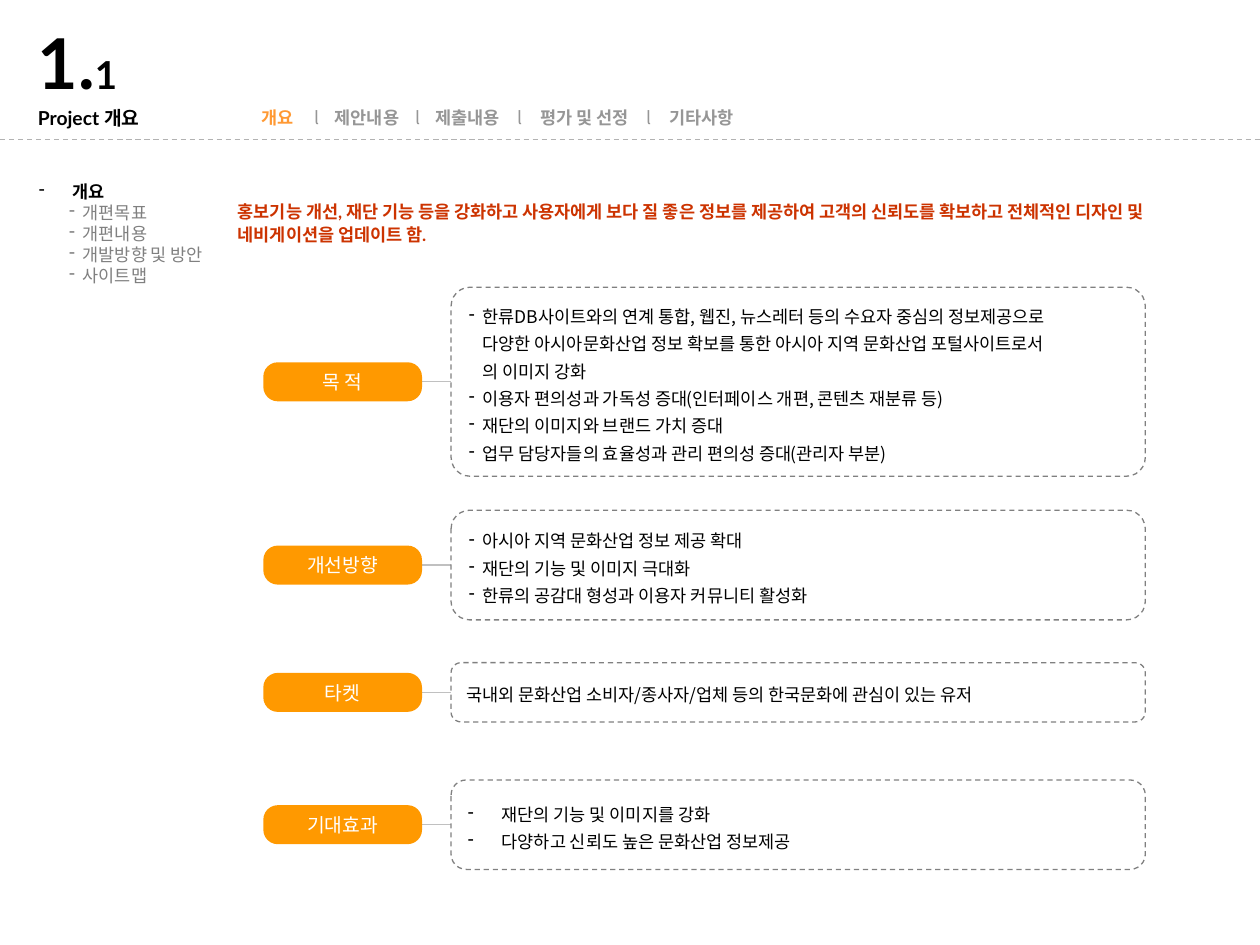
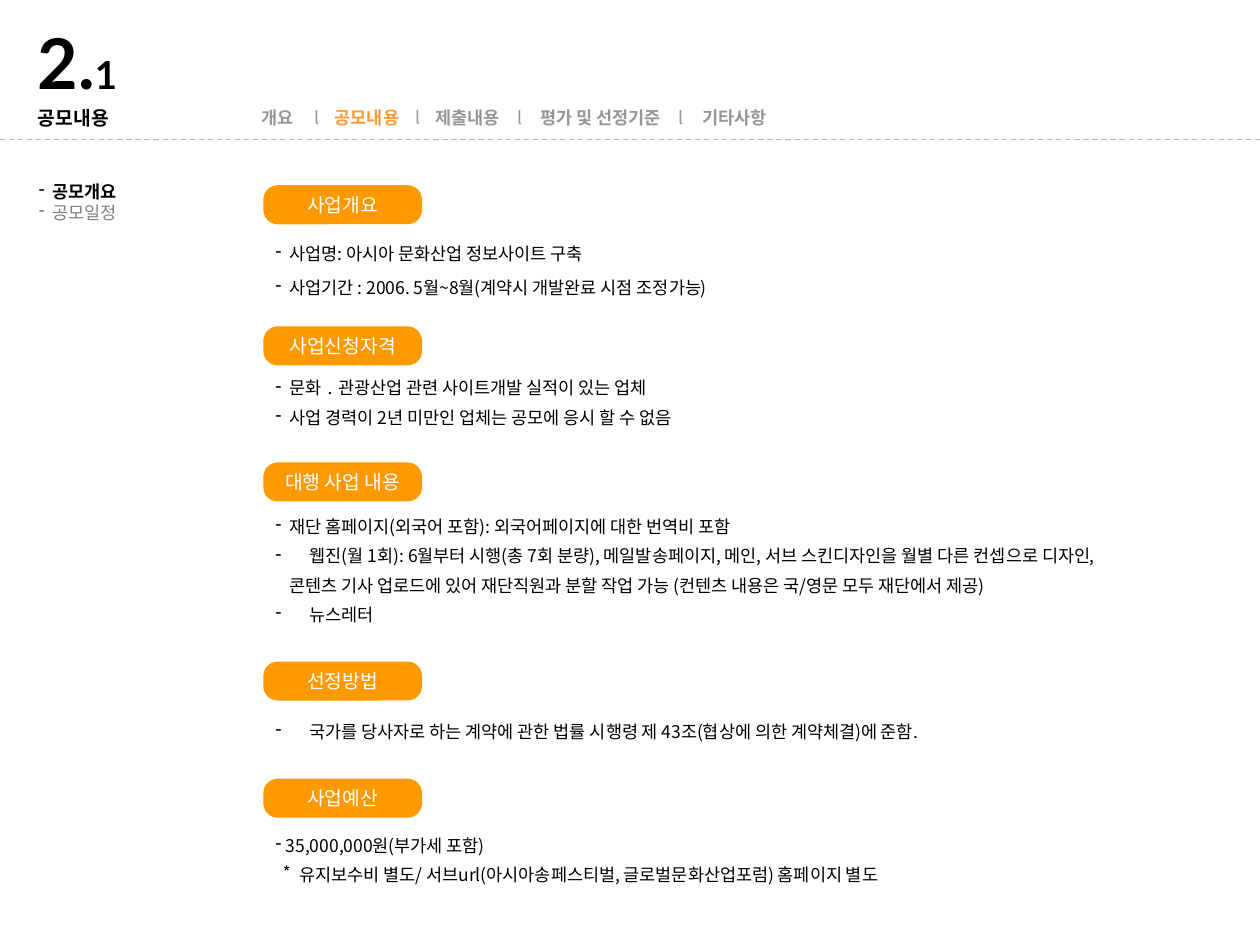
from lxml import etree
from pptx import Presentation
from pptx import util as u
from pptx.dml.color import RGBColor
from pptx.enum import dml, shapes, text
from pptx.oxml import ns

CELL = u.Inches(0.1)
COLUMNS, ROWS = 100, 75
COLORS = {"ink": "000000", "accent": "FF9900", "current": "FF9933", "nav": "969696",
          "muted": "808080", "summary": "CC3300", "rule": "B2B2B2", "link": "C0C0C0",
          "paper": "FFFFFF"}
LATIN, KOREAN = "Lato", "Noto Sans CJK KR"
BODY = {"size": 10, "color": "ink", "name": KOREAN, "bold": False}
TITLE = {"size": 11, "color": "ink", "name": LATIN, "bold": True}
LINE_HEIGHT = 1.2
LABEL_LEFT, LABEL_WIDTH, LABEL_HEIGHT = 20.9, 12.6, 3.1
PANEL_LEFT, PANEL_WIDTH = 35.8, 55.1
NAV_STOPS = [4.2, 5.8, 12.2, 13.8, 20.3, 22.1]
MARKS = {"flat": (0, 0, None), "dash": (0, 1.1, "-"), "tight": (0, 0.8, "-"),
         "wide": (0, 2.7, "-"), "sub": (2.4, 1.1, "-"), "star": (0.6, 1.3, "*"),
         "continued": (1.1, 0, None)}

PANELS = [
    ("목 적", 22.8, 15, 0.1, 1.3, [
        ("dash", "한류DB사이트와의 연계 통합, 웹진, 뉴스레터 등의 수요자 중심의 정보제공으로\v"
                 "다양한 아시아문화산업 정보 확보를 통한 아시아 지역 문화산업 포털사이트로서\v"
                 "의 이미지 강화"),
        ("dash", "이용자 편의성과 가독성 증대(인터페이스 개편, 콘텐츠 재분류 등)"),
        ("dash", "재단의 이미지와 브랜드 가치 증대"),
        ("dash", "업무 담당자들의 효율성과 관리 편의성 증대(관리자 부분)")]),
    ("개선방향", 40.5, 8.7, 0.17, 1.3, [
        ("dash", "아시아 지역 문화산업 정보 제공 확대"),
        ("dash", "재단의 기능 및 이미지 극대화"),
        ("dash", "한류의 공감대 형성과 이용자 커뮤니티 활성화")]),
    ("타켓", 52.6, 4.7, 0.17, 1.2, [
        ("flat", "국내외 문화산업 소비자/종사자/업체 등의 한국문화에 관심이 있는 유저")]),
    ("기대효과", 61.9, 7.1, 0.17, 1.3, [
        ("wide", "재단의 기능 및 이미지를 강화"),
        ("wide", "다양하고 신뢰도 높은 문화산업 정보제공")]),
]
SECTIONS = [
    ("사업개요", 14.7, 17.8, 7.1, 1.6, [
        ("dash", "사업명: 아시아 문화산업 정보사이트 구축"),
        ("dash", "사업기간 : 2006. 5월~8월(계약시 개발완료 시점 조정가능)")]),
    ("사업신청자격", 25.9, 28.8, 4.7, 1.4, [
        ("dash", "문화 ․ 관광산업 관련 사이트개발 실적이 있는 업체"),
        ("dash", "사업 경력이 2년 미만인 업체는 공모에 응시 할 수 없음")]),
    ("대행 사업 내용", 36.7, 39.8, 11.8, 1.4, [
        ("dash", "재단 홈페이지(외국어 포함): 외국어페이지에 대한 번역비 포함"),
        ("wide", "웹진(월 1회): 6월부터 시행(총 7회 분량), 메일발송페이지, 메인, "
                 "서브 스킨디자인을 월별 다른 컨셉으로 디자인,"),
        ("continued", "콘텐츠 기사 업로드에 있어 재단직원과 분할 작업 가능 "
                      "(컨텐츠 내용은 국/영문 모두 재단에서 제공)"),
        ("wide", "뉴스레터")]),
    ("선정방법", 52.5, 56.4, 4.7, 1.2, [
        ("wide", "국가를 당사자로 하는 계약에 관한 법률 시행령 제 43조(협상에 의한 계약체결)에 준함.")]),
    ("사업예산", 61.8, 65.1, 6.5, 1.4, [
        ("tight", "35,000,000원(부가세 포함)"),
        ("star", "유지보수비 별도/ 서브url(아시아송페스티벌, 글로벌문화산업포럼) 홈페이지 별도")]),
]


def cells(*lengths):
    """Turn grid counts into lengths."""
    return [u.Emu(round(length * CELL)) for length in lengths]


def color(name):
    """Look up a palette colour."""
    return RGBColor.from_string(COLORS[name])


def add_run(paragraph, content, **changes):
    """Add a run in the body format with the given changes."""
    style = {**BODY, **changes}
    run = paragraph.add_run()
    run.text = content
    formats = {"size": u.Pt(style["size"]), "name": style["name"], "bold": style["bold"]}
    for attribute, value in formats.items():
        setattr(run.font, attribute, value)
    run.font.color.rgb = color(style["color"])
    etree.SubElement(run.font._element, ns.qn("a:ea"), typeface=KOREAN)


def set_spacing(paragraph, size, factor):
    """Fix the line pitch of a paragraph and clear the gaps around it."""
    formats = {"line_spacing": u.Pt(round(size * LINE_HEIGHT * factor, 1)),
               "space_before": u.Pt(0), "space_after": u.Pt(0)}
    for attribute, value in formats.items():
        setattr(paragraph, attribute, value)


def set_mark(paragraph, kind):
    """Indent a paragraph and give it its bullet."""
    left, hang, symbol = MARKS[kind]
    margin, indent = cells(left + hang, -hang)
    properties = paragraph._p.get_or_add_pPr()
    properties.set("marL", str(margin))
    properties.set("indent", str(indent))
    if symbol:
        etree.SubElement(properties, ns.qn("a:buChar"), char=symbol)


def set_tabs(paragraph, stops):
    """Give a paragraph left tab stops."""
    tabs = etree.SubElement(paragraph._p.get_or_add_pPr(), ns.qn("a:tabLst"))
    for stop in cells(*stops):
        etree.SubElement(tabs, ns.qn("a:tab"), pos=str(stop), algn="l")


def prepare_frame(shape, anchor=text.MSO_ANCHOR.TOP, wrap=True, inset=(1, 0.5)):
    """Set the frame format of a shape and return the frame."""
    side, edge = cells(*inset)
    formats = {"word_wrap": wrap, "auto_size": text.MSO_AUTO_SIZE.NONE,
               "vertical_anchor": anchor, "margin_left": side, "margin_right": side,
               "margin_top": edge, "margin_bottom": edge}
    for attribute, value in formats.items():
        setattr(shape.text_frame, attribute, value)
    return shape.text_frame


def next_paragraph(frame, index):
    """Return the first paragraph, or a new one after it."""
    return frame.add_paragraph() if index else frame.paragraphs[0]


def fill_list(frame, items, factor, styles=()):
    """Write marked items, each with its own style if given."""
    for index, (kind, content) in enumerate(items):
        paragraph = next_paragraph(frame, index)
        paragraph.alignment = text.PP_ALIGN.LEFT
        set_mark(paragraph, kind)
        set_spacing(paragraph, BODY["size"], factor)
        style = styles[index] if styles else {}
        for part, line in enumerate(content.split("\v")):
            if part:
                paragraph.add_line_break()
            add_run(paragraph, line, **style)


def add_text(slide, *box, **frame_format):
    """Add a text box on the grid and return its frame."""
    return prepare_frame(slide.shapes.add_textbox(*cells(*box)), **frame_format)


def add_line(slide, left, right, row, shade, dashed=False):
    """Add a thin horizontal line."""
    line = slide.shapes.add_connector(shapes.MSO_CONNECTOR.STRAIGHT,
                                      *cells(left, row, right, row))
    line.line.color.rgb = color(shade)
    line.line.width = u.Pt(0.75)
    if dashed:
        line.line.dash_style = dml.MSO_LINE.DASH
    etree.SubElement(line._element.spPr, ns.qn("a:effectLst"))


def add_rounded(slide, box, rounding, fill):
    """Add a flat rounded rectangle."""
    shape = slide.shapes.add_shape(shapes.MSO_SHAPE.ROUNDED_RECTANGLE, *cells(*box))
    shape.adjustments[0] = rounding
    shape.shadow.inherit = False
    shape.fill.solid()
    shape.fill.fore_color.rgb = color(fill)
    return shape


def add_label(slide, caption, top):
    """Add an orange section label."""
    shape = add_rounded(slide, (LABEL_LEFT, top, LABEL_WIDTH, LABEL_HEIGHT), 0.37, "accent")
    shape.line.fill.background()
    paragraph = prepare_frame(shape, text.MSO_ANCHOR.MIDDLE, wrap=False).paragraphs[0]
    paragraph.alignment = text.PP_ALIGN.CENTER
    set_spacing(paragraph, 11, 1)
    add_run(paragraph, caption, size=11, color="paper")


def add_panel(slide, caption, top, height, rounding, factor, items):
    """Add a dashed panel joined to a label at its middle."""
    middle = top + height / 2
    add_line(slide, LABEL_LEFT + LABEL_WIDTH, PANEL_LEFT, middle, "link")
    add_label(slide, caption, middle - LABEL_HEIGHT / 2)
    shape = add_rounded(slide, (PANEL_LEFT, top, PANEL_WIDTH, height), rounding, "paper")
    shape.line.color.rgb = color("muted")
    shape.line.width = u.Pt(0.75)
    shape.line.dash_style = dml.MSO_LINE.DASH
    fill_list(prepare_frame(shape, text.MSO_ANCHOR.MIDDLE), items, factor)


def add_section(slide, caption, label_top, top, height, factor, items):
    """Add a label with a list below it."""
    add_label(slide, caption, label_top)
    fill_list(add_text(slide, LABEL_LEFT, top, 74, height), items, factor)


def set_title(slide, chapter, part, name):
    """Write the chapter number and name in the title placeholder."""
    title = slide.shapes.title
    title.left, title.top, title.width, title.height = cells(2.1, 2.5, 23.5, 8.2)
    frame = prepare_frame(title, inset=(0.9, 0.4))
    lines = [(40, 0.8, [(chapter, 40), (part, 22)]), (11, 1.1, [(name, 11)])]
    for index, (size, factor, runs) in enumerate(lines):
        paragraph = next_paragraph(frame, index)
        paragraph.alignment = text.PP_ALIGN.LEFT
        set_spacing(paragraph, size, factor)
        for content, run_size in runs:
            add_run(paragraph, content, **{**TITLE, "size": run_size})


def add_navigation(slide, names, current, last_divider):
    """Add the chapter row, with the current chapter in orange."""
    paragraph = add_text(slide, 19.8, 8, 45, 2.7).paragraphs[0]
    set_tabs(paragraph, NAV_STOPS + [last_divider, last_divider + 1.85])
    set_spacing(paragraph, BODY["size"], 1)
    for index, name in enumerate(names):
        if index:
            add_run(paragraph, "\tl\t", color="nav")
        add_run(paragraph, name, color="current" if index == current else "nav", bold=True)


def add_slide(presentation, title, names, current, last_divider, sidebar):
    """Add a slide with its title, rule, chapter row and sidebar."""
    slide = presentation.slides.add_slide(presentation.slide_layouts[5])
    add_line(slide, 0, COLUMNS, 11.1, "rule", dashed=True)
    set_title(slide, *title)
    add_navigation(slide, names, current, last_divider)
    styles = [{"bold": True}] + [{"color": "muted"}] * (len(sidebar) - 1)
    fill_list(add_text(slide, 2.1, 13.9, 16.4, 11), sidebar, 1, styles)
    return slide


def add_summary(slide, content):
    """Add the red summary sentence."""
    frame = add_text(slide, 17.9, 15.3, 75, 4.7, anchor=text.MSO_ANCHOR.MIDDLE)
    style = {"name": LATIN, "color": "summary", "bold": True}
    fill_list(frame, [("flat", content)], 1.1, [style])


def main():
    """Build both slides and save them."""
    presentation = Presentation()
    presentation.slide_width, presentation.slide_height = cells(COLUMNS, ROWS)

    overview = add_slide(
        presentation, ("1.", "1", "Project 개요"),
        ["개요", "제안내용", "제출내용", "평가 및 선정", "기타사항"], 0, 30.5,
        [("wide", "개요"), ("sub", "개편목표"), ("sub", "개편내용"),
         ("sub", "개발방향 및 방안"), ("sub", "사이트맵")])
    for panel in PANELS:
        add_panel(overview, *panel)
    add_summary(overview, "홍보기능 개선, 재단 기능 등을 강화하고 사용자에게 보다 질 좋은 정보를 제공하여 "
                          "고객의 신뢰도를 확보하고 전체적인 디자인 및 네비게이션을 업데이트 함.")

    contest = add_slide(
        presentation, ("2.", "1", "공모내용"),
        ["개요", "공모내용", "제출내용", "평가 및 선정기준", "기타사항"], 1, 33.1,
        [("dash", "공모개요"), ("dash", "공모일정")])
    for section in SECTIONS:
        add_section(contest, *section)

    presentation.save("out.pptx")


if __name__ == "__main__":
    main()
